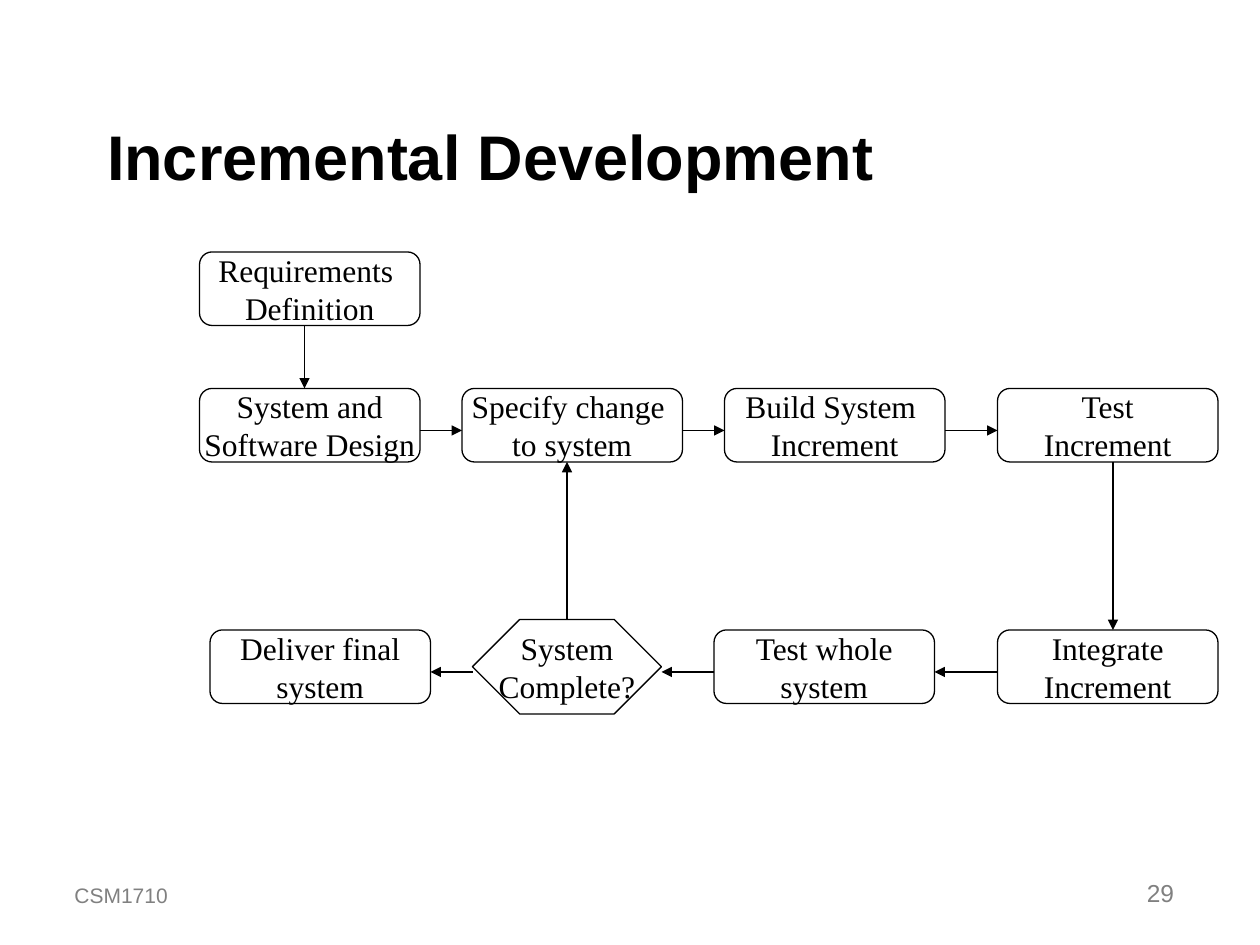
from pptx import Presentation
from pptx.dml.color import RGBColor
from pptx.enum.shapes import MSO_CONNECTOR as CONN, MSO_SHAPE as SHAPE
from pptx.enum.text import MSO_ANCHOR as ANCHOR, MSO_AUTO_SIZE as AUTO, PP_ALIGN as ALIGN
from pptx.oxml.ns import qn
from pptx.util import Pt
from lxml.etree import SubElement

BLACK = RGBColor(0, 0, 0)
WHITE = RGBColor(255, 255, 255)
GREY = RGBColor(128, 128, 128)
BOX_W, BOX_H = 126, 42
TOP_Y, MIDDLE_Y, BOTTOM_Y = 144, 222, 360
MIDDLE_ARROW_Y, BOTTOM_ARROW_Y = 246, 384

BOXES = [
    (114, TOP_Y, ("Requirements ", "Definition")),
    (114, MIDDLE_Y, ("System and", "Software Design")),
    (264, MIDDLE_Y, ("Specify change ", "to system")),
    (414, MIDDLE_Y, ("Build System ", "Increment")),
    (570, MIDDLE_Y, ("Test", "Increment")),
    (570, BOTTOM_Y, ("Integrate", "Increment")),
    (408, BOTTOM_Y, ("Test whole", "system")),
    (120, BOTTOM_Y, ("Deliver final", "system")),
]
ACROSS = [
    (240, 264, MIDDLE_ARROW_Y),
    (390, 414, MIDDLE_ARROW_Y),
    (540, 570, MIDDLE_ARROW_Y),
    (570, 534, BOTTOM_ARROW_Y),
    (408, 378, BOTTOM_ARROW_Y),
    (270, 246, BOTTOM_ARROW_Y),
]
UPRIGHT = [
    (174, TOP_Y + BOX_H, MIDDLE_Y),
    (636, MIDDLE_Y + BOX_H, BOTTOM_Y),
    (324, 354, MIDDLE_Y + BOX_H),
]


def add_run(p, text, font, size, color, bold=False):
    r = p.add_run()
    r.text = text
    r.font.name = font
    r.font.size = Pt(size)
    r.font.bold = bold
    r.font.color.rgb = color


def set_title(s, text):
    sp = s.shapes.title
    sp.left, sp.top, sp.width, sp.height = Pt(54), Pt(42), Pt(612), Pt(72)
    tf = sp.text_frame
    tf.auto_size = AUTO.NONE
    tf.vertical_anchor = ANCHOR.BOTTOM
    p = tf.paragraphs[0]
    p.alignment = ALIGN.LEFT
    add_run(p, text, "Arial", 36, BLACK, True)


def add_step(s, kind, x, y, w, h, adjustment, lines):
    sp = s.shapes.add_shape(kind, Pt(x), Pt(y), Pt(w), Pt(h))
    sp.adjustments[0] = adjustment
    sp.shadow.inherit = False
    sp.fill.solid()
    sp.fill.fore_color.rgb = WHITE
    sp.line.color.rgb = BLACK
    sp.line.width = Pt(0.75)
    tf = sp.text_frame
    tf.word_wrap = False
    tf.vertical_anchor = ANCHOR.MIDDLE
    for i, line in enumerate(lines):
        p = tf.add_paragraph() if i else tf.paragraphs[0]
        p.alignment = ALIGN.CENTER
        add_run(p, line, "Times New Roman", 18, BLACK)


def add_arrow(s, x1, y1, x2, y2):
    c = s.shapes.add_connector(CONN.STRAIGHT, Pt(x1), Pt(y1), Pt(x2), Pt(y2))
    c.line.color.rgb = BLACK
    c.line.width = Pt(0.75)
    SubElement(c.line._get_or_add_ln(), qn("a:tailEnd"), type="triangle")
    SubElement(c._element.spPr, qn("a:effectLst"))


def add_footer(s, x, w, text, size, align, space):
    tf = s.shapes.add_textbox(Pt(x), Pt(486), Pt(w), Pt(36)).text_frame
    tf.word_wrap = True
    tf.vertical_anchor = ANCHOR.BOTTOM
    p = tf.paragraphs[0]
    p.alignment = align
    p.space_before = Pt(space)
    add_run(p, text, "Arial", size, GREY)


def main():
    prs = Presentation()
    prs.slide_width, prs.slide_height = Pt(720), Pt(540)
    s = prs.slides.add_slide(prs.slide_layouts[5])
    set_title(s, "Incremental Development")
    for x, y, lines in BOXES:
        add_step(s, SHAPE.ROUNDED_RECTANGLE, x, y, BOX_W, BOX_H, 0.17, lines)
    add_step(s, SHAPE.HEXAGON, 270, 354, 108, 54, 0.5, ("System", "Complete?"))
    for x1, x2, y in ACROSS:
        add_arrow(s, x1, y, x2, y)
    for x, y1, y2 in UPRIGHT:
        add_arrow(s, x, y1, x, y2)
    add_footer(s, 35.5, 216, "CSM1710", 12, ALIGN.LEFT, 7.5)
    add_footer(s, 528, 150, "29", 14, ALIGN.RIGHT, 8.8)
    prs.save("out.pptx")


if __name__ == "__main__":
    main()
